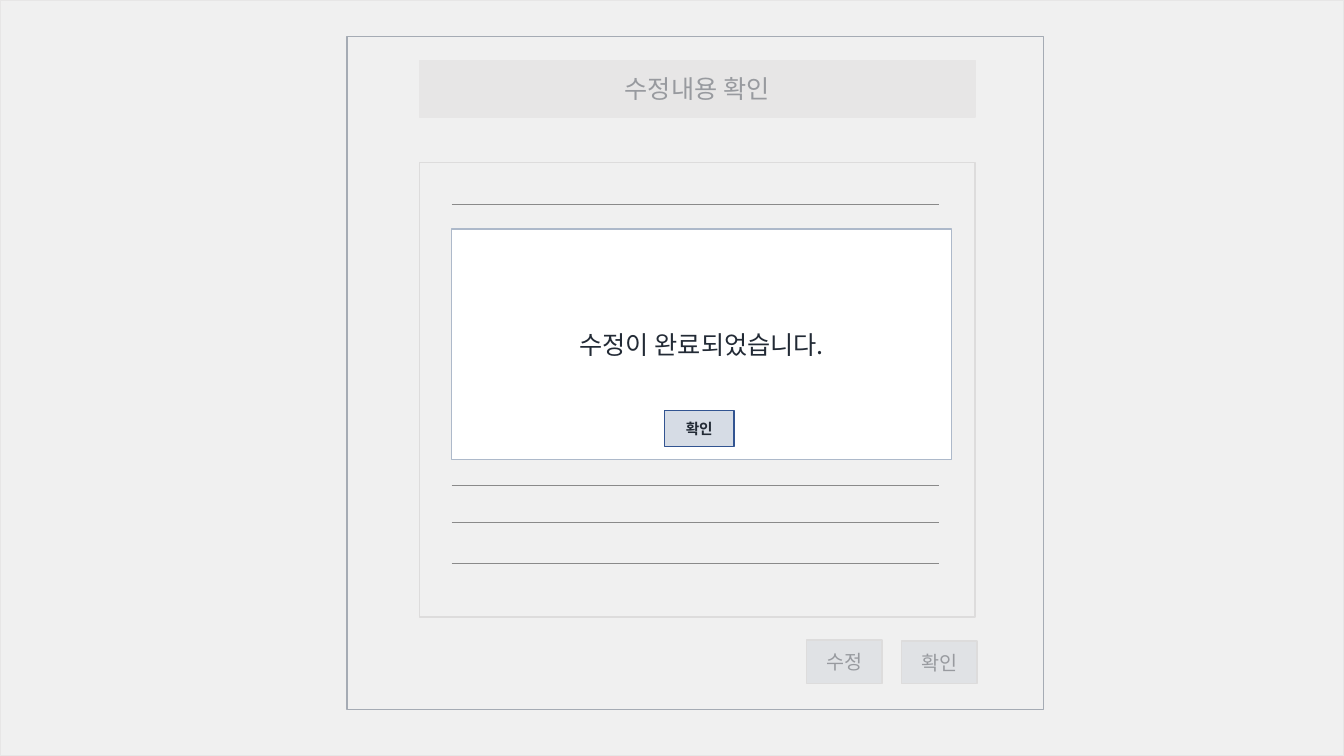
from pptx import Presentation
from pptx import util as u
from pptx.dml.color import RGBColor
from pptx.enum import shapes, text
from pptx.oxml.ns import qn
from lxml import etree

FONT = "Noto Sans CJK KR"
COLORS = {
    "white": "FFFFFF",
    "ink": "222A35",
    "rule": "000000",
    "frame": "44546A",
    "band": "E7E6E6",
    "border": "D0CECE",
    "button": "D6DCE5",
    "dialog": "ADB9CA",
    "confirm": "325491",
}


def rgb(name):
    return RGBColor.from_string(COLORS[name])


def paint(box, fill, line):
    box.fill.solid()
    box.fill.fore_color.rgb = rgb(fill)
    box.line.color.rgb = rgb(line)
    box.line.width = u.Pt(1)


def write(box, wording, size=18, bold=False, color="ink"):
    frame = box.text_frame
    frame.word_wrap = True
    frame.auto_size = text.MSO_AUTO_SIZE.NONE
    frame.vertical_anchor = text.MSO_ANCHOR.MIDDLE
    paragraph = frame.paragraphs[0]
    paragraph.alignment = text.PP_ALIGN.CENTER
    run = paragraph.add_run()
    run.text = wording
    run.font.name = FONT
    run.font.size = u.Pt(size)
    run.font.bold = bold
    run.font.color.rgb = rgb(color)
    etree.SubElement(run.font._element, qn("a:ea"), typeface=FONT)


def add_panel(slide, left, top, width, height, fill="white", line="border"):
    panel = slide.shapes.add_shape(
        shapes.MSO_SHAPE.RECTANGLE,
        u.Inches(left), u.Inches(top), u.Inches(width), u.Inches(height))
    panel.shadow.inherit = False
    paint(panel, fill, line)
    return panel


def add_rule(slide, y, left=4.48, right=9.31):
    rule = slide.shapes.add_connector(
        shapes.MSO_CONNECTOR.STRAIGHT,
        u.Inches(left), u.Inches(y), u.Inches(right), u.Inches(y))
    rule.line.color.rgb = rgb("rule")
    rule.line.width = u.Pt(0.5)
    etree.SubElement(rule._element.spPr, qn("a:effectLst"))


def place_heading(slide, wording):
    heading = slide.shapes.title
    heading.left, heading.top = u.Inches(4.16), u.Inches(0.6)
    heading.width, heading.height = u.Inches(5.51), u.Inches(0.56)
    paint(heading, "band", "band")
    write(heading, wording)
    slide.shapes._spTree.append(heading._element)


def add_veil(slide, opacity):
    veil = add_panel(slide, 0, 0, 13.33, 7.5, "band", "band")
    tint = veil._element.spPr.find(qn("a:solidFill"))[0]
    etree.SubElement(tint, qn("a:alpha"), val=str(opacity * 1000))


def main():
    deck = Presentation()
    deck.slide_width, deck.slide_height = u.Inches(13.33), u.Inches(7.5)
    slide = deck.slides.add_slide(deck.slide_layouts[5])

    add_panel(slide, 3.44, 0.36, 6.91, 6.68, line="frame")
    place_heading(slide, "수정내용 확인")
    add_panel(slide, 4.16, 1.61, 5.51, 4.51)
    for y in (2.03, 4.82, 5.18, 5.59):
        add_rule(slide, y)
    for wording, left, top, height in (("수정", 8, 6.35, 0.43), ("확인", 8.94, 6.36, 0.42)):
        button = add_panel(slide, left, top, 0.75, height, "button")
        write(button, wording, size=14)

    add_veil(slide, 60)
    dialog = add_panel(slide, 4.48, 2.27, 4.96, 2.29, line="dialog")
    write(dialog, "수정이 완료되었습니다.")
    confirm = add_panel(slide, 6.59, 4.07, 0.69, 0.36, "button", "confirm")
    write(confirm, "확인", size=10.5, bold=True)

    deck.save("out.pptx")


main()
